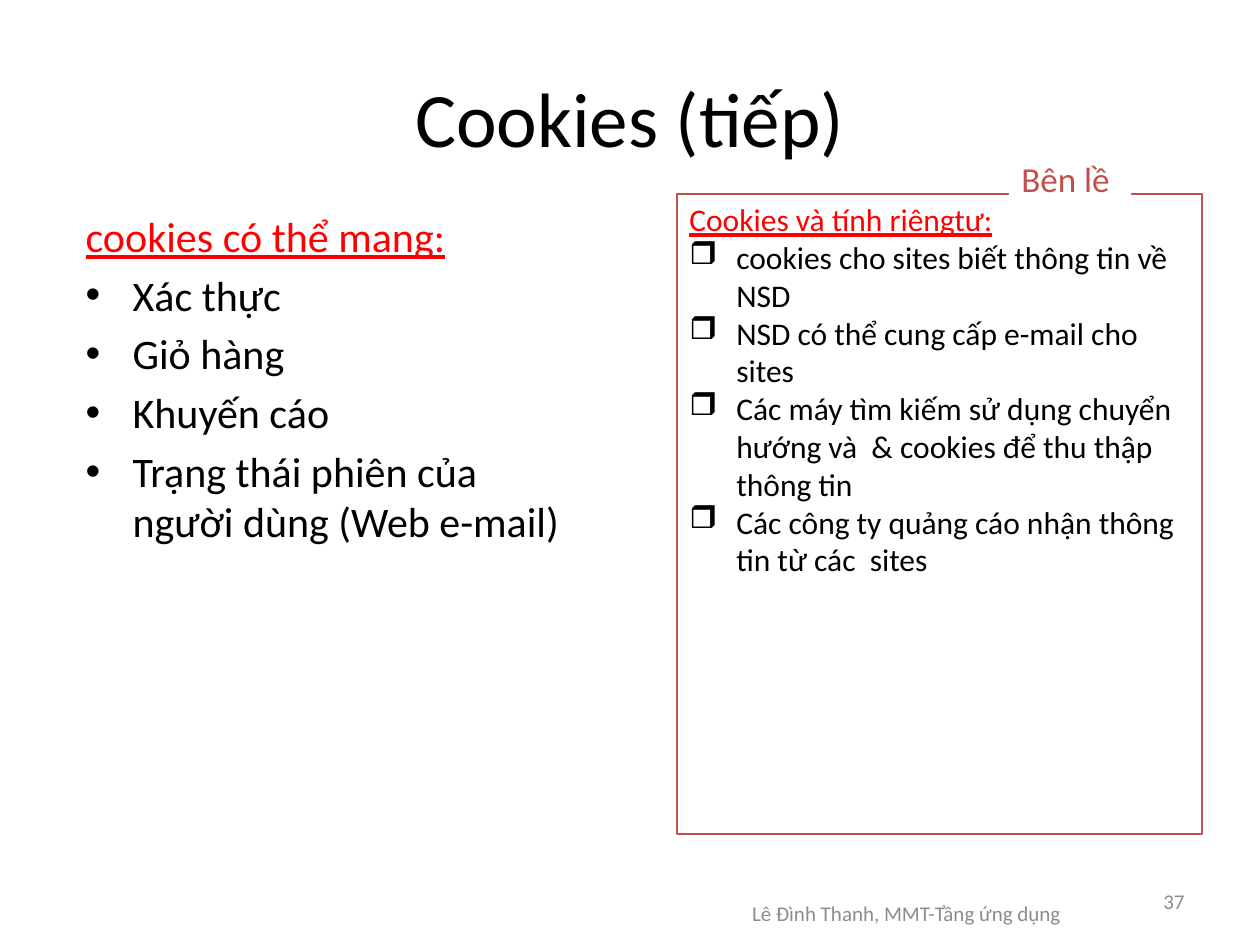
import pptx
import pptx.util
import pptx.dml.color
import pptx.enum.shapes
import pptx.enum.text
import pptx.oxml
import pptx.oxml.ns

EMU_PER_PX = 914400 / 126
FONT = "Calibri"
BLACK, RED, BRICK, GREY, WHITE = "000000", "FF0000", "C0504D", "8C8C8C", "FFFFFF"
HANGING = 47
ALIGN = pptx.enum.text.PP_ALIGN
ANCHOR = pptx.enum.text.MSO_ANCHOR

USES = [
    "Xác thực",
    "Giỏ hàng",
    "Khuyến cáo",
    "Trạng thái phiên của người dùng (Web e-mail)",
]
PRIVACY = [
    "cookies cho sites biết thông tin về NSD",
    "NSD có thể cung cấp e-mail cho sites",
    "Các máy tìm kiếm sử dụng chuyển hướng và  & cookies để thu thập thông tin",
    "Các công ty quảng cáo nhận thông tin từ các  sites",
]


def px(n):
    return pptx.util.Emu(round(n * EMU_PER_PX))


def color(value):
    return pptx.dml.color.RGBColor.from_string(value)


def place(sp, left, top, width, height):
    sp.left, sp.top, sp.width, sp.height = map(px, (left, top, width, height))


def add_run(p, text, size, fill, underline=None):
    r = p.add_run()
    r.text = text
    r.font.name = FONT
    r.font.size = pptx.util.Pt(size)
    r.font.color.rgb = color(fill)
    r.font.underline = underline


def set_bullet(p, char=None):
    """Give a hanging indent, with a bullet if char is given."""
    pPr = p._p.get_or_add_pPr()
    pPr.set("marL", str(px(HANGING)))
    pPr.set("indent", str(-px(HANGING)))
    ns = pptx.oxml.ns.nsdecls("a")
    xml = f'<a:buChar {ns} char="{char}"/>' if char else f"<a:buNone {ns}/>"
    pPr.append(pptx.oxml.parse_xml(xml))


def fill_list(tf, heading, items, size, char):
    p = tf.paragraphs[0]
    p.alignment = ALIGN.LEFT
    set_bullet(p)
    add_run(p, heading, size, RED, True)
    for item in items:
        p = tf.add_paragraph()
        p.alignment = ALIGN.LEFT
        set_bullet(p, char)
        add_run(p, item, size, BLACK)


def add_rect(s, box, fill=None, line=None):
    sp = s.shapes.add_shape(pptx.enum.shapes.MSO_SHAPE.RECTANGLE, *map(px, box))
    sp.shadow.inherit = False
    if fill:
        sp.fill.solid()
        sp.fill.fore_color.rgb = color(fill)
    else:
        sp.fill.background()
    if line:
        sp.line.color.rgb = color(line)
        sp.line.width = pptx.util.Pt(1.5)
    else:
        sp.line.fill.background()
    sp.text_frame.vertical_anchor = ANCHOR.TOP
    return sp


def add_footer(s, box, text, align):
    tf = s.shapes.add_textbox(*map(px, box)).text_frame
    tf.word_wrap = True
    tf.vertical_anchor = ANCHOR.MIDDLE
    p = tf.paragraphs[0]
    p.alignment = align
    add_run(p, text, 12, GREY)


def add_side_note(s):
    sp = add_rect(s, (677, 194, 525, 640), line=BRICK)
    fill_list(sp.text_frame, "Cookies và tính riêngtư:", PRIVACY, 18, "❒")
    tf = add_rect(s, (1009, 151, 122, 55), fill=WHITE).text_frame
    tf.word_wrap = False
    tf.auto_size = pptx.enum.text.MSO_AUTO_SIZE.SHAPE_TO_FIT_TEXT
    p = tf.paragraphs[0]
    p.alignment = ALIGN.LEFT
    add_run(p, "Bên lề", 20, BRICK)


def main():
    prs = pptx.Presentation()
    prs.slide_width, prs.slide_height = px(1260), px(945)
    s = prs.slides.add_slide(prs.slide_layouts[1])

    add_footer(s, (669, 882, 475, 63), "Lê Đình Thanh, MMT-Tầng ứng dụng", ALIGN.CENTER)
    add_footer(s, (903, 876, 294, 50), "37", ALIGN.RIGHT)

    title, body = s.placeholders
    place(title, 63, 38, 1134, 158)
    add_run(title.text_frame.paragraphs[0], "Cookies (tiếp)", 44, BLACK)
    place(body, 73, 204, 525, 640)
    fill_list(body.text_frame, "cookies có thể mang:", USES, 24, "•")

    add_side_note(s)
    prs.save("out.pptx")


if __name__ == "__main__":
    main()
